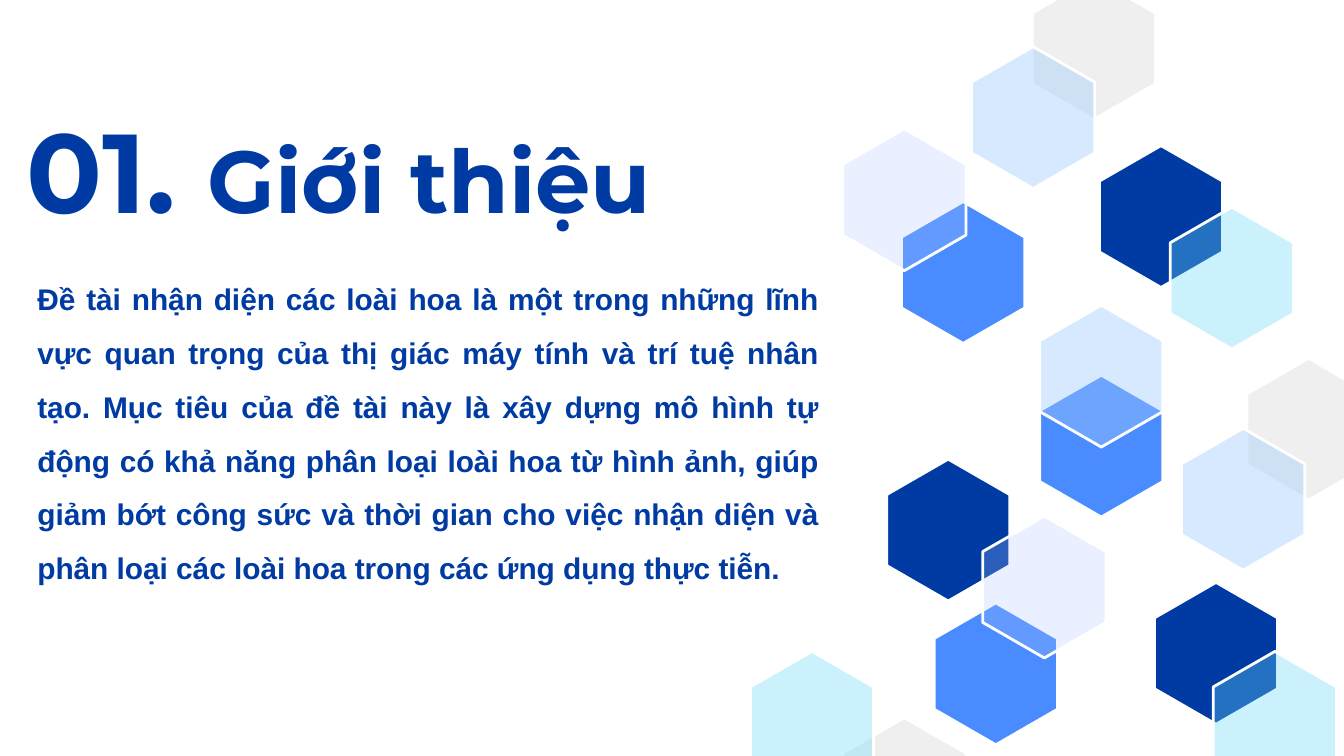
from lxml.etree import SubElement
from pptx import Presentation
from pptx.dml.color import RGBColor
from pptx.enum.text import MSO_ANCHOR, MSO_AUTO_SIZE, PP_ALIGN
from pptx.oxml.ns import qn
from pptx.util import Pt

COLORS = {
    "navy": "003BA3", "blue": "4A8CFF", "sky": "9FCBFD", "lavender": "AFC7FF",
    "cyan": "68DAF8", "grey": "EFEFEF", "white": "FFFFFF",
}
OPACITY = {"sky": 41, "lavender": 25, "cyan": 34}  # percent; others are solid

HEXAGON_WIDTH, HEXAGON_HEIGHT = 66, 76
# Colour, left and top, from back to front
HEXAGONS = [
    ("blue", 557, 201), ("grey", 553, -12), ("sky", 520.5, 25),
    ("blue", 483, 108), ("lavender", 451.5, 69), ("navy", 589, 78),
    ("sky", 557, 163.5), ("cyan", 627, 111),
    ("navy", 475, 246), ("blue", 500.5, 323), ("grey", 451.5, 384.5),
    ("lavender", 526.5, 276.5), ("cyan", 402, 349),
    ("grey", 668, 192), ("sky", 633, 229.5),
    ("navy", 618.5, 312), ("cyan", 650, 349),
]
TITLE_RUNS = [("01. ", 60), ("Giới thiệu", 47)]
INTRODUCTION = (
    "Đề tài nhận diện các loài hoa là một trong những lĩnh vực quan trọng của "
    "thị giác máy tính và trí tuệ nhân tạo. Mục tiêu của đề tài này là xây dựng "
    "mô hình tự động có khả năng phân loại loài hoa từ hình ảnh, giúp giảm bớt "
    "công sức và thời gian cho việc nhận diện và phân loại các loài hoa trong "
    "các ứng dụng thực tiễn."
)


class SlideBuilder:
    """Holds the style and the current slide."""

    def __init__(self, slide):
        self.slide = slide

    def color(self, name):
        return RGBColor.from_string(COLORS[name])

    def place(self, shape, left, top, width, height):
        shape.left, shape.top = Pt(left), Pt(top)
        shape.width, shape.height = Pt(width), Pt(height)

    def frame(self, shape, margins, anchor, auto_size):
        text_frame = shape.text_frame
        text_frame.word_wrap = True
        text_frame.auto_size = auto_size
        text_frame.vertical_anchor = anchor
        (text_frame.margin_left, text_frame.margin_top,
         text_frame.margin_right, text_frame.margin_bottom) = map(Pt, margins)
        return text_frame

    def style(self, font, name, size):
        font.name, font.size, font.bold = name, Pt(size), True
        font.color.rgb = self.color("navy")

    def title(self, runs, *box):
        shape = self.slide.shapes.title
        self.place(shape, *box)
        text_frame = self.frame(shape, (7, 7, 20, 7), MSO_ANCHOR.MIDDLE, MSO_AUTO_SIZE.NONE)
        paragraph = text_frame.paragraphs[0]
        paragraph.alignment = PP_ALIGN.RIGHT
        for text, size in runs:
            run = paragraph.add_run()
            run.text = text
            self.style(run.font, "Montserrat", size)

    def body(self, text, *box):
        shape = self.slide.placeholders[1]
        self.place(shape, *box)
        text_frame = self.frame(shape, (0, 0, 0, 0), MSO_ANCHOR.TOP,
                                MSO_AUTO_SIZE.SHAPE_TO_FIT_TEXT)
        text_frame.text = text
        paragraph = text_frame.paragraphs[0]
        paragraph.alignment = PP_ALIGN.JUSTIFY
        paragraph.line_spacing = 1.5
        paragraph.space_before = Pt(0)
        # Plain paragraph: no bullet, no indent
        properties = paragraph._p.get_or_add_pPr()
        properties.set("marL", "0")
        properties.set("indent", "0")
        SubElement(properties, qn("a:buNone"))
        self.style(paragraph.runs[0].font, "Arial", 16)

    def hexagon(self, color, left, top):
        middle, right = left + HEXAGON_WIDTH / 2, left + HEXAGON_WIDTH
        upper, lower = top + HEXAGON_HEIGHT / 4, top + HEXAGON_HEIGHT * 3 / 4
        bottom = top + HEXAGON_HEIGHT
        corners = [(left, upper), (left, lower), (middle, bottom),
                   (right, lower), (right, upper)]
        builder = self.slide.shapes.build_freeform(Pt(middle), Pt(top))
        builder.add_line_segments([(Pt(x), Pt(y)) for x, y in corners], close=True)
        shape = builder.convert_to_shape()
        shape.shadow.inherit = False
        shape.fill.solid()
        shape.fill.fore_color.rgb = self.color(color)
        shape.line.color.rgb = self.color("white")
        shape.line.width = Pt(1.5)
        if color in OPACITY:
            fill_color = shape._element.spPr.find(qn("a:solidFill"))[0]
            SubElement(fill_color, qn("a:alpha"), val=str(OPACITY[color] * 1000))


def main():
    presentation = Presentation()
    presentation.slide_width, presentation.slide_height = Pt(720), Pt(405)
    slide = presentation.slides.add_slide(presentation.slide_layouts[1])
    builder = SlideBuilder(slide)

    # Heading and introduction
    builder.title(TITLE_RUNS, 0, 6, 369, 169)
    builder.body(INTRODUCTION, 20, 141, 419, 171)

    # Honeycomb decoration
    for hexagon in HEXAGONS:
        builder.hexagon(*hexagon)

    presentation.save("out.pptx")


if __name__ == "__main__":
    main()
